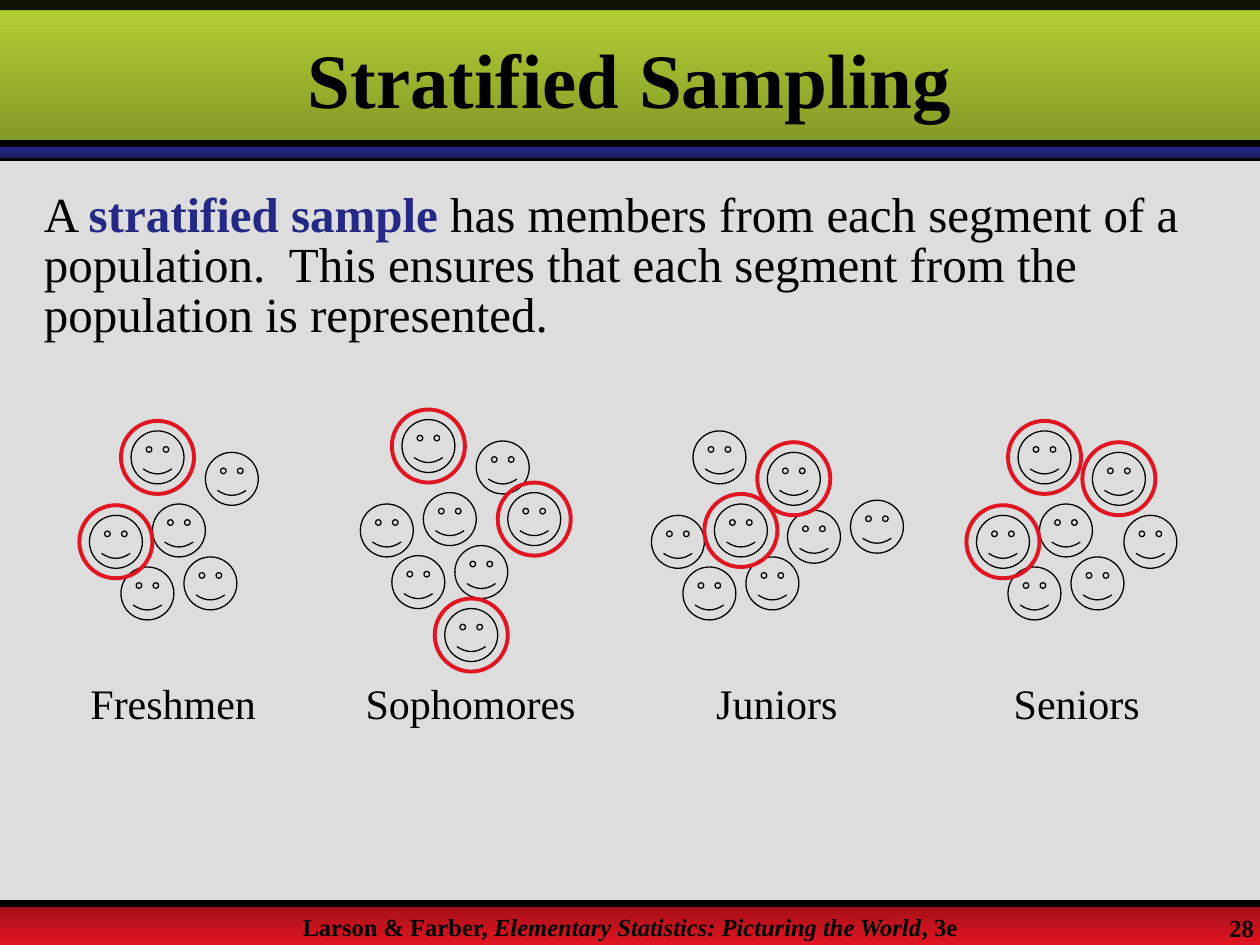
from dataclasses import dataclass

import pptx
import pptx.dml.color
import pptx.enum.shapes
import pptx.enum.text
import pptx.oxml.ns
import pptx.shapes.autoshape
import pptx.shapes.shapetree
import pptx.slide
import pptx.util
from lxml import etree

Inches = pptx.util.Inches
Pt = pptx.util.Pt
RGBColor = pptx.dml.color.RGBColor
ShapeType = pptx.enum.shapes.MSO_SHAPE
Align = pptx.enum.text.PP_ALIGN

BLACK = RGBColor(0x00, 0x00, 0x00)
GRAY = RGBColor(0xDD, 0xDD, 0xDD)
RED = RGBColor(0xE1, 0x15, 0x21)
DARK_RED = RGBColor(0xA1, 0x0F, 0x18)
BLUE = RGBColor(0x24, 0x29, 0x85)
DARK_BLUE = RGBColor(0x1A, 0x1D, 0x5F)
GREEN = RGBColor(0xB5, 0xD3, 0x35)
DARK_GREEN = RGBColor(0x81, 0x97, 0x26)

FONT = "Times New Roman"
SLIDE_WIDTH = 10
FACE_SIZE = 0.42
RING_SIZE = 0.58
RING_MARGIN = (RING_SIZE - FACE_SIZE) / 2
# Offsets of the six faces that every stratum shares
COMMON_FACES = ((0, 0.67), (0.25, 1.08), (0.75, 1), (0.92, 0.17), (0.5, 0.58), (0.33, 0))


@dataclass
class Run:
    text: str
    bold: bool | None = None
    italic: bool | None = None
    color: RGBColor | None = None


@dataclass
class Stratum:
    label: str
    label_left: float
    label_width: float
    left: float
    top: float
    extra_faces: tuple[tuple[float, float], ...]
    sampled: tuple[int, ...]

    def faces(self) -> list[tuple[float, float]]:
        return [(self.left + x, self.top + y) for x, y in COMMON_FACES + self.extra_faces]


STRATA = (
    Stratum("Freshmen", 0.5, 1.75, 0.71, 3.42, (), (0, 5)),
    Stratum("Sophomores", 2.75, 1.97, 2.86, 3.33, ((0.67, 1.5), (1.17, 0.58)), (5, 7, 6)),
    Stratum("Juniors", 5.29, 1.75, 5.17, 3.42, ((1.08, 0.63), (1.58, 0.55)), (3, 4)),
    Stratum("Seniors", 7.67, 1.75, 7.75, 3.42, ((1.17, 0.67),), (3, 5, 0)),
)


def add_band(slide: pptx.slide.Slide, top: float, height: float) -> pptx.shapes.autoshape.Shape:
    band = slide.shapes.add_shape(
        ShapeType.RECTANGLE, Inches(0), Inches(top), Inches(SLIDE_WIDTH), Inches(height))
    band.shadow.inherit = False
    band.line.fill.background()
    return band


def add_gradient_band(slide: pptx.slide.Slide, top: float, height: float,
                      upper: RGBColor, lower: RGBColor) -> None:
    fill = add_band(slide, top, height).fill
    fill.gradient()
    fill.gradient_angle = 270
    for stop, color in zip(fill.gradient_stops, (upper, lower)):
        stop.color.rgb = color


def add_rule(slide: pptx.slide.Slide, top: float) -> None:
    rule = slide.shapes.add_connector(
        pptx.enum.shapes.MSO_CONNECTOR.STRAIGHT,
        Inches(0), Inches(top), Inches(SLIDE_WIDTH), Inches(top))
    rule.line.color.rgb = BLACK
    rule.line.width = Pt(4)
    etree.SubElement(rule._element.spPr, pptx.oxml.ns.qn("a:effectLst"))


def add_outline(shapes: pptx.shapes.shapetree.GroupShapes | pptx.shapes.shapetree.SlideShapes,
                shape_type: ShapeType, left: float, top: float, size: float,
                color: RGBColor, width: float) -> pptx.shapes.autoshape.Shape:
    shape = shapes.add_shape(shape_type, Inches(left), Inches(top), Inches(size), Inches(size))
    shape.shadow.inherit = False
    shape.fill.background()
    shape.line.color.rgb = color
    shape.line.width = Pt(width)
    return shape


def add_text(slide: pptx.slide.Slide, left: float, top: float, width: float, height: float,
             runs: list[Run], size: float, bold: bool = False, align: Align = Align.LEFT,
             wrap: bool = True) -> pptx.shapes.autoshape.Shape:
    box = slide.shapes.add_textbox(Inches(left), Inches(top), Inches(width), Inches(height))
    box.text_frame.word_wrap = wrap
    paragraph = box.text_frame.paragraphs[0]
    paragraph.alignment = align
    paragraph.font.name = FONT
    paragraph.font.size = Pt(size)
    paragraph.font.bold = bold
    paragraph.font.color.rgb = BLACK
    for item in runs:
        run = paragraph.add_run()
        run.text = item.text
        if item.bold is not None:
            run.font.bold = item.bold
        if item.italic is not None:
            run.font.italic = item.italic
        if item.color is not None:
            run.font.color.rgb = item.color
    return box


def add_frame(slide: pptx.slide.Slide) -> None:
    # Footer band and rule below the title
    add_gradient_band(slide, 7.17, 0.33, DARK_RED, RED)
    add_rule(slide, 1.25)
    add_text(slide, 0, 7.19, SLIDE_WIDTH, 0.2, [
        Run("Larson & Farber, "),
        Run("Elementary Statistics: Picturing the World", italic=True),
        Run(", 3e"),
    ], 14, bold=True, align=Align.CENTER)

    # Title bands
    add_gradient_band(slide, 1.17, 0.08, BLUE, DARK_BLUE)
    add_gradient_band(slide, 0, 1.17, GREEN, DARK_GREEN)
    add_rule(slide, 7.17)
    top_band = add_band(slide, 0, 0.08)
    top_band.fill.solid()
    top_band.fill.fore_color.rgb = BLACK
    color_element = top_band._element.spPr.find(".//" + pptx.oxml.ns.qn("a:srgbClr"))
    etree.SubElement(color_element, pptx.oxml.ns.qn("a:alpha"), val="90000")
    add_rule(slide, 1.14)

    # Slide number
    add_text(slide, 9.66, 7.2, 0.43, 0.33, [Run("28")], 14, bold=True, wrap=False)


def add_faces(slide: pptx.slide.Slide, stratum: Stratum) -> None:
    group = slide.shapes.add_group_shape()
    for left, top in stratum.faces():
        face = add_outline(group.shapes, ShapeType.SMILEY_FACE, left, top, FACE_SIZE, BLACK, 0.75)
        face.adjustments[0] = 0.047


def add_label(slide: pptx.slide.Slide, stratum: Stratum) -> None:
    label = add_text(slide, stratum.label_left, 5.33, stratum.label_width, 0.5,
                     [Run(stratum.label)], 24, align=Align.CENTER)
    label.text_frame.paragraphs[0].space_before = Pt(12)


def add_rings(slide: pptx.slide.Slide, stratum: Stratum) -> None:
    faces = stratum.faces()
    for index in stratum.sampled:
        left, top = faces[index]
        add_outline(slide.shapes, ShapeType.OVAL, left - RING_MARGIN, top - RING_MARGIN,
                    RING_SIZE, RED, 2.25)


def main() -> None:
    presentation = pptx.Presentation()
    presentation.slide_width = Inches(SLIDE_WIDTH)
    presentation.slide_height = Inches(7.5)
    slide = presentation.slides.add_slide(presentation.slide_layouts[6])
    slide.background.fill.solid()
    slide.background.fill.fore_color.rgb = GRAY
    add_frame(slide)

    # Title and definition
    title = add_text(slide, 0, 0.08, SLIDE_WIDTH, 1.08, [Run("Stratified Sampling")], 44,
                     bold=True, align=Align.CENTER)
    title.text_frame.vertical_anchor = pptx.enum.text.MSO_ANCHOR.MIDDLE
    definition = add_text(slide, 0.25, 1.48, 9.42, 1.35, [
        Run("A "),
        Run("stratified sample ", bold=True, color=BLUE),
        Run("has members from each segment of a population.  This ensures that each segment "
            "from the population is represented."),
    ], 28)
    definition.text_frame.paragraphs[0].line_spacing = 0.85
    definition.text_frame.paragraphs[0].space_before = Pt(5.6)

    # Strata: faces, then labels, then rings around the sampled faces
    for draw in (add_faces, add_label, add_rings):
        for stratum in STRATA:
            draw(slide, stratum)

    presentation.save("out.pptx")


if __name__ == "__main__":
    main()
